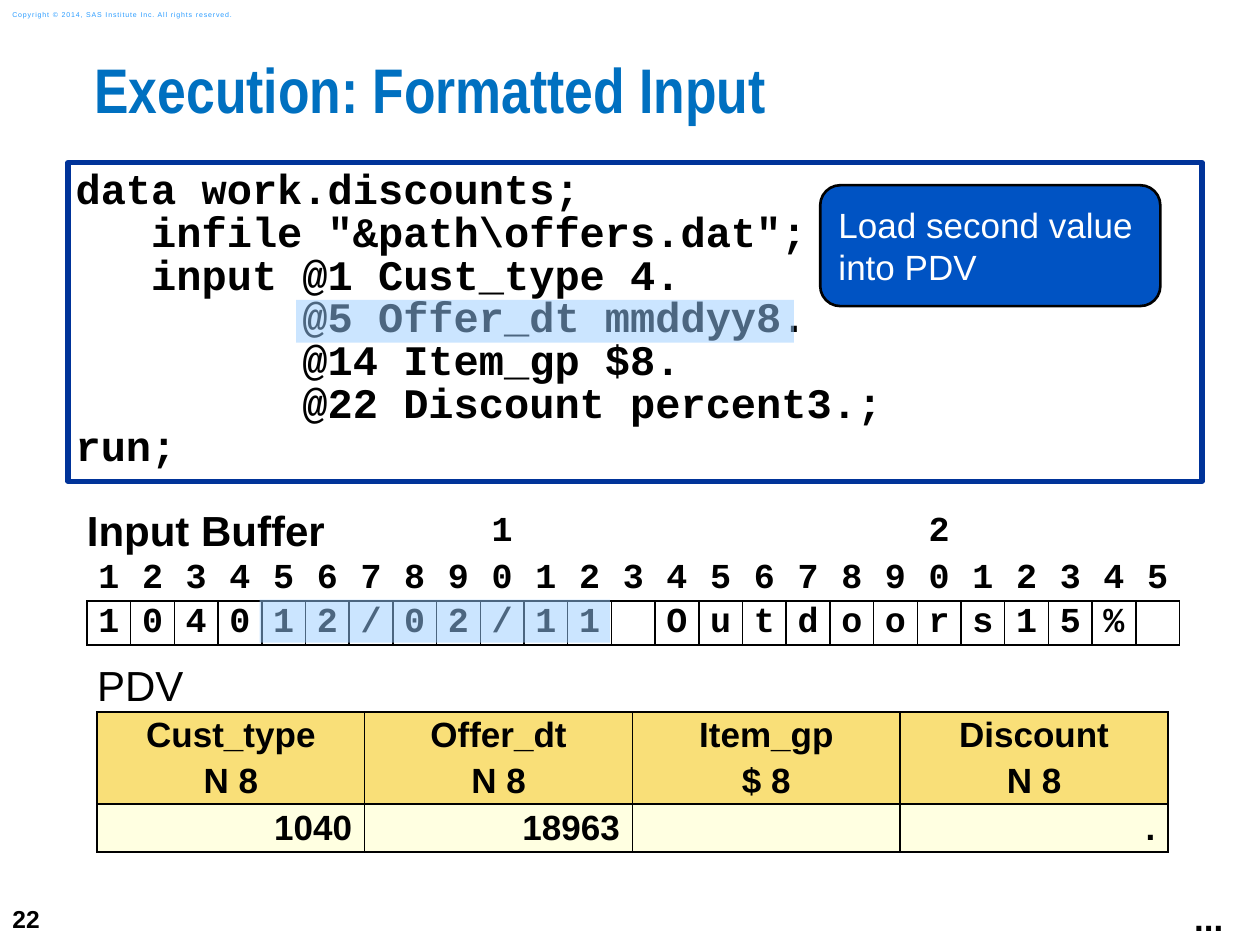
from dataclasses import dataclass

from lxml import etree
from pptx import Presentation
from pptx import util as u
from pptx.dml.color import RGBColor
from pptx.enum import shapes, text
from pptx.oxml import ns


@dataclass(frozen=True)
class Theme:
    sans: str = "Arial"
    narrow: str = "Arial Narrow"
    mono: str = "Courier New"
    black: str = "000000"
    white: str = "FFFFFF"
    title: str = "0070C0"
    copyright: str = "2A9CFF"
    code_border: str = "003399"
    callout: str = "0053C3"
    highlight: str = "99CCFF"
    header: str = "F9DF78"
    value: str = "FFFFE1"
    title_size: int = 36
    code_size: int = 24
    body_size: int = 20
    number_size: int = 14
    copyright_size: int = 4


T = Theme()
LEFT, CENTER, RIGHT = text.PP_ALIGN.LEFT, text.PP_ALIGN.CENTER, text.PP_ALIGN.RIGHT
TOP, MIDDLE = text.MSO_ANCHOR.TOP, text.MSO_ANCHOR.MIDDLE
NO_GRID_STYLE = "{2D5ABB26-0587-4C30-8999-92F81FD0307C}"

CODE = r'''data work.discounts;
   infile "&path\offers.dat";
   input @1 Cust_type 4.
         @5 Offer_dt mmddyy8.
         @14 Item_gp $8.
         @22 Discount percent3.;
run;'''
RECORD = "104012/02/11 Outdoors15% "
PDV = [
    ("Cust_type", "N 8", "1040"),
    ("Offer_dt", "N 8", "18963"),
    ("Item_gp", "$ 8", ""),
    ("Discount", "N 8", "."),
]


def apply(target, values):
    for name, value in values.items():
        setattr(target, name, value)


def inches(*lengths):
    return [u.Inches(length) for length in lengths]


def margins(horizontal, vertical):
    return {
        "margin_left": u.Inches(horizontal),
        "margin_right": u.Inches(horizontal),
        "margin_top": u.Inches(vertical),
        "margin_bottom": u.Inches(vertical),
    }


def write(frame, lines, size, color=T.black, font=T.sans, bold=True,
          align=LEFT, spacing=None, gap=0):
    for index, line in enumerate(lines):
        paragraph = frame.paragraphs[0] if index == 0 else frame.add_paragraph()
        apply(paragraph, {"alignment": align, "line_spacing": spacing})
        if index and gap:
            paragraph.space_before = u.Pt(gap)
        if line:
            run = paragraph.add_run()
            run.text = line
            apply(run.font, {"name": font, "size": u.Pt(size), "bold": bold})
            run.font.color.rgb = RGBColor.from_string(color)


def add_label(slide, box, line, size, **style):
    frame = slide.shapes.add_textbox(*inches(*box)).text_frame
    apply(frame, {"word_wrap": True, "vertical_anchor": MIDDLE})
    write(frame, [line], size, **style)
    return frame


def add_panel(slide, kind, box, fill, border=None, weight=0):
    panel = slide.shapes.add_shape(kind, *inches(*box))
    panel.shadow.inherit = False
    panel.fill.solid()
    panel.fill.fore_color.rgb = RGBColor.from_string(fill)
    if border:
        panel.line.color.rgb = RGBColor.from_string(border)
        panel.line.width = u.Pt(weight)
    else:
        panel.line.fill.background()
    return panel


def add_highlight(slide, box):
    panel = add_panel(slide, shapes.MSO_SHAPE.RECTANGLE, box, T.highlight)
    color = panel.fill._xPr.find(".//" + ns.qn("a:srgbClr"))
    etree.SubElement(color, ns.qn("a:alpha"), val="50000")


def add_grid(slide, box, columns, heights):
    table = slide.shapes.add_table(len(heights), columns, *inches(*box)).table
    apply(table, {"first_row": False, "horz_banding": False})
    table._tbl.tblPr.find(ns.qn("a:tableStyleId")).text = NO_GRID_STYLE
    for column in table.columns:
        column.width = u.Inches(box[2] / columns)
    for row, height in zip(table.rows, heights):
        row.height = u.Inches(height)
    return table


def fill_cell(cell, lines, size, fill=None, sides="", inset=0, **style):
    apply(cell, {**margins(inset, 0), "vertical_anchor": MIDDLE})
    properties = cell._tc.get_or_add_tcPr()
    for side in sides:
        line = etree.SubElement(properties, ns.qn("a:ln" + side), w=str(u.Pt(1)))
        solid = etree.SubElement(line, ns.qn("a:solidFill"))
        etree.SubElement(solid, ns.qn("a:srgbClr"), val=T.black)
    if fill:
        cell.fill.solid()
        cell.fill.fore_color.rgb = RGBColor.from_string(fill)
    else:
        cell.fill.background()
    write(cell.text_frame, lines, size, **style)


def add_title(slide):
    title = slide.shapes.title
    apply(title, dict(zip(("left", "top", "width", "height"),
                          inches(0.75, 0.5, 9.25, 0.74))))
    apply(title.text_frame, {**margins(0, 0), "vertical_anchor": TOP})
    write(title.text_frame, ["Execution: Formatted Input"], T.title_size,
          color=T.title, font=T.narrow, spacing=0.83)


def add_input_buffer(slide):
    count = len(RECORD)
    table = add_grid(slide, (0.69, 4.02, 8.68, 1.1), count, (0.4, 0.35, 0.35))
    mono = {"font": T.mono, "align": CENTER}
    table.cell(0, 0).merge(table.cell(0, 8))
    fill_cell(table.cell(0, 0), ["Input Buffer"], T.code_size)
    for index, character in enumerate(RECORD):
        position = index + 1
        if index > 8:
            tens = "" if position % 10 else str(position // 10)
            fill_cell(table.cell(0, index), [tens], T.body_size, **mono)
        fill_cell(table.cell(1, index), [str(position % 10)], T.body_size,
                  sides="B", **mono)
        fill_cell(table.cell(2, index), [character.strip()], T.body_size,
                  sides="LRTB", **mono)


def add_pdv(slide):
    table = add_grid(slide, (0.77, 5.25, 8.5, 1.51), len(PDV), (0.4, 0.73, 0.38))
    table.cell(0, 0).merge(table.cell(0, len(PDV) - 1))
    fill_cell(table.cell(0, 0), ["PDV"], T.code_size, fill=T.white,
              sides="B", bold=False)
    boxed = {"sides": "LRTB", "inset": 0.1}
    for index, (variable, kind, value) in enumerate(PDV):
        fill_cell(table.cell(1, index), [variable, kind], T.body_size,
                  fill=T.header, align=CENTER, gap=4, **boxed)
        fill_cell(table.cell(2, index), [value], T.body_size,
                  fill=T.value, align=RIGHT, **boxed)


def add_code(slide):
    code = add_panel(slide, shapes.MSO_SHAPE.RECTANGLE, (0.54, 1.29, 9, 2.53),
                     T.white, T.code_border, 3)
    apply(code.text_frame, {**margins(0.06, 0.06), "word_wrap": True,
                            "vertical_anchor": TOP})
    write(code.text_frame, CODE.splitlines(), T.code_size, font=T.mono, spacing=0.85)


def add_callout(slide):
    callout = add_panel(slide, shapes.MSO_SHAPE.ROUNDED_RECTANGLE,
                        (6.51, 1.47, 2.7, 0.96), T.callout, T.black, 1.5)
    apply(callout.text_frame, {**margins(0.1, 0.1), "word_wrap": True,
                               "vertical_anchor": MIDDLE})
    write(callout.text_frame, ["Load second value into PDV"], T.body_size,
          color=T.white, bold=False)


def main():
    deck = Presentation()
    apply(deck, {"slide_width": u.Inches(10), "slide_height": u.Inches(7.5)})
    slide = deck.slides.add_slide(deck.slide_layouts[5])
    add_label(slide, (0, 7.08, 0.58, 0.42), "22", T.number_size)
    notice = add_label(slide, (0, 0.03, 2.11, 0.17),
                       "Copyright © 2014, SAS Institute Inc. All rights reserved.",
                       T.copyright_size, color=T.copyright, bold=False)
    notice.paragraphs[0].runs[0]._r.get_or_add_rPr().set("spc", "50")
    add_title(slide)
    add_input_buffer(slide)
    add_pdv(slide)
    add_code(slide)
    add_label(slide, (9.38, 7.06, 0.43, 0.44), "...", T.body_size)
    add_callout(slide)
    add_highlight(slide, (2.35, 2.38, 3.95, 0.34))
    add_highlight(slide, (2.06, 4.76, 2.78, 0.34))
    deck.save("out.pptx")


if __name__ == "__main__":
    main()
